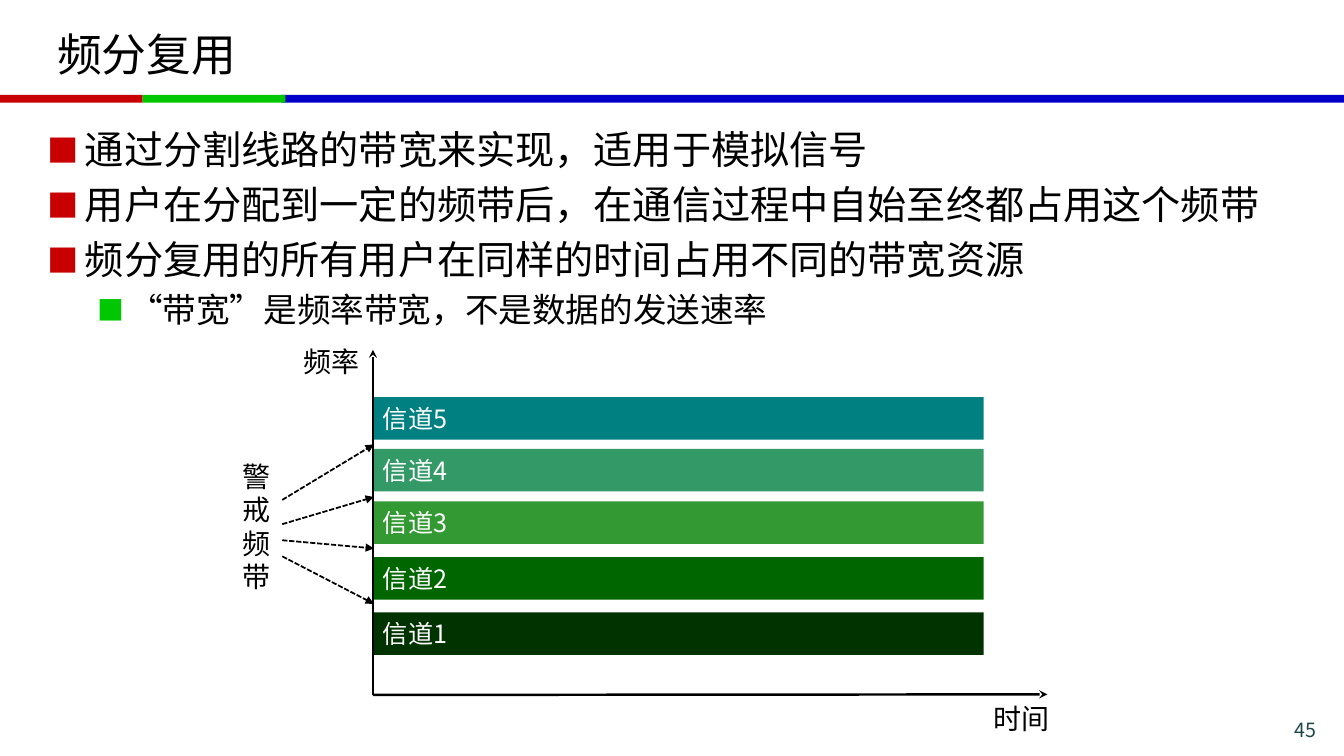
from dataclasses import dataclass

import pptx
import pptx.dml.color
import pptx.enum.dml
import pptx.enum.shapes
import pptx.enum.text
import pptx.oxml
import pptx.oxml.ns
import pptx.util

Pt = pptx.util.Pt
Align = pptx.enum.text.PP_ALIGN
Anchor = pptx.enum.text.MSO_ANCHOR
FONT = "Noto Sans CJK SC"
HUES = {
    "black": "000000", "white": "FFFFFF", "page": "1E4649",
    "red": "C80000", "green": "00C800", "blue": "0000C8",
    "teal": "008080", "sea": "339966", "leaf": "339933",
    "forest": "006600", "dark": "003300",
}
LEFT = 266.4
BASE = 496.4


@dataclass
class Bar:
    left: float
    top: float
    width: float
    height: float
    hue: str
    text: str = ""


@dataclass
class Label:
    text: str
    left: float
    top: float
    width: float
    height: float
    size: float
    line: float
    hue: str = "black"
    wrap: bool = True
    align: Align = Align.LEFT
    anchor: Anchor = Anchor.TOP


@dataclass
class Point:
    text: str
    size: float
    margin: float
    hang: float
    hue: str


@dataclass
class Arrow:
    start: tuple[float, float]
    end: tuple[float, float]
    width: float
    head: str
    dashed: bool = False


STRIPES = [
    Bar(201, 67.7, 759, 5.7, "blue"),
    Bar(0, 67.7, 102, 5.7, "red"),
    Bar(102, 67.7, 102, 5.7, "green"),
]
BANDS = [
    Bar(LEFT, top, 436.3, 30.4, hue, f"信道{5 - rank}")
    for rank, (top, hue) in enumerate([
        (283.6, "teal"), (320.6, "sea"), (358.2, "leaf"),
        (397.9, "forest"), (437.5, "dark"),
    ])
]
LABELS = [
    Label("频分复用", 33.8, 7.8, 892, 60.5, 32, 38.4, anchor=Anchor.MIDDLE),
    Label("45", 853.9, 509.5, 93.6, 20.2, 14, 16.8, "page", align=Align.RIGHT),
    Label("频率", 209.5, 245.3, 54.7, 28.8, 20, 21.6, wrap=False),
    Label("时间", 702.7, 500.3, 54.7, 28.8, 20, 21.6, wrap=False),
    Label("警戒频带", 166.3, 324.4, 29.5, 103, 20, 24),
]
POINTS = [
    Point("通过分割线路的带宽来实现，适用于模拟信号", 28, 27, 27, "red"),
    Point("用户在分配到一定的频带后，在通信过程中自始至终都占用这个频带", 28, 27, 27, "red"),
    Point("频分复用的所有用户在同样的时间占用不同的带宽资源", 28, 27, 27, "red"),
    Point("“带宽”是频率带宽，不是数据的发送速率", 24, 58.5, 22.5, "green"),
]
GUARDS = [(357.1, 317.5), (374.4, 355), (385.9, 391.7), (397.4, 431.3)]
ARROWS = [
    Arrow((LEFT, BASE), (748.1, 496), 1.75, "stealth"),
    Arrow((LEFT, BASE), (LEFT, 249.8), 1.75, "stealth"),
] + [Arrow((201.6, a), (267.1, b), 1.25, "triangle", True) for a, b in GUARDS]


def tint(hue: str) -> pptx.dml.color.RGBColor:
    return pptx.dml.color.RGBColor.from_string(HUES[hue])


def add_node(parent, tag: str, **pairs: str) -> None:
    node = pptx.oxml.parse_xml(f"<a:{tag} {pptx.oxml.ns.nsdecls('a')}/>")
    for key, value in pairs.items():
        node.set(key, value)
    parent.append(node)


def style(para, size: float, hue: str) -> None:
    for run in para.runs:
        run.font.size = Pt(size)
        run.font.name = FONT
        run.font.color.rgb = tint(hue)
        add_node(run._r.get_or_add_rPr(), "ea", typeface=FONT)


def draw_bar(slide, bar: Bar) -> None:
    shape = slide.shapes.add_shape(
        pptx.enum.shapes.MSO_SHAPE.RECTANGLE,
        Pt(bar.left), Pt(bar.top), Pt(bar.width), Pt(bar.height))
    shape.shadow.inherit = False
    shape.fill.solid()
    shape.fill.fore_color.rgb = tint(bar.hue)
    shape.line.fill.background()
    if bar.text:
        frame = shape.text_frame
        frame.text = bar.text
        frame.word_wrap = False
        frame.margin_top = frame.margin_bottom = 0
        frame.vertical_anchor = Anchor.MIDDLE
        frame.paragraphs[0].alignment = Align.LEFT
        style(frame.paragraphs[0], 18, "white")


def draw_label(slide, label: Label) -> None:
    frame = slide.shapes.add_textbox(
        Pt(label.left), Pt(label.top), Pt(label.width), Pt(label.height)).text_frame
    frame.text = label.text
    frame.word_wrap = label.wrap
    frame.vertical_anchor = label.anchor
    para = frame.paragraphs[0]
    para.alignment = label.align
    para.line_spacing = Pt(label.line)
    style(para, label.size, label.hue)


def draw_points(slide, points: list[Point]) -> None:
    frame = slide.shapes.add_textbox(Pt(26.6), Pt(85.8), Pt(907.2), Pt(190)).text_frame
    frame.word_wrap = True
    for rank, point in enumerate(points):
        para = frame.add_paragraph() if rank else frame.paragraphs[0]
        para.text = point.text
        para.line_spacing = Pt(point.size * 1.2)
        if rank:
            para.space_before = Pt(point.size * 0.2)
        props = para._p.get_or_add_pPr()
        props.set("marL", str(Pt(point.margin)))
        props.set("indent", str(-Pt(point.hang)))
        add_node(props, "buClr")
        add_node(props[-1], "srgbClr", val=HUES[point.hue])
        add_node(props, "buSzPct", val="80000")
        add_node(props, "buFont", typeface=FONT)
        add_node(props, "buChar", char="■")
        style(para, point.size, "black")


def draw_arrow(slide, arrow: Arrow) -> None:
    link = slide.shapes.add_connector(
        pptx.enum.shapes.MSO_CONNECTOR.STRAIGHT,
        *map(Pt, arrow.start), *map(Pt, arrow.end))
    link.line.width = Pt(arrow.width)
    link.line.color.rgb = tint("black")
    if arrow.dashed:
        link.line.dash_style = pptx.enum.dml.MSO_LINE.SQUARE_DOT
    add_node(link.line._get_or_add_ln(), "tailEnd", type=arrow.head)
    add_node(link._element.spPr, "effectLst")


def main() -> None:
    deck = pptx.Presentation()
    deck.slide_width = Pt(960)
    deck.slide_height = Pt(540)
    slide = deck.slides.add_slide(deck.slide_layouts[6])
    for bar in STRIPES + BANDS:
        draw_bar(slide, bar)
    for label in LABELS:
        draw_label(slide, label)
    draw_points(slide, POINTS)
    for arrow in ARROWS:
        draw_arrow(slide, arrow)
    deck.save("out.pptx")


if __name__ == "__main__":
    main()
